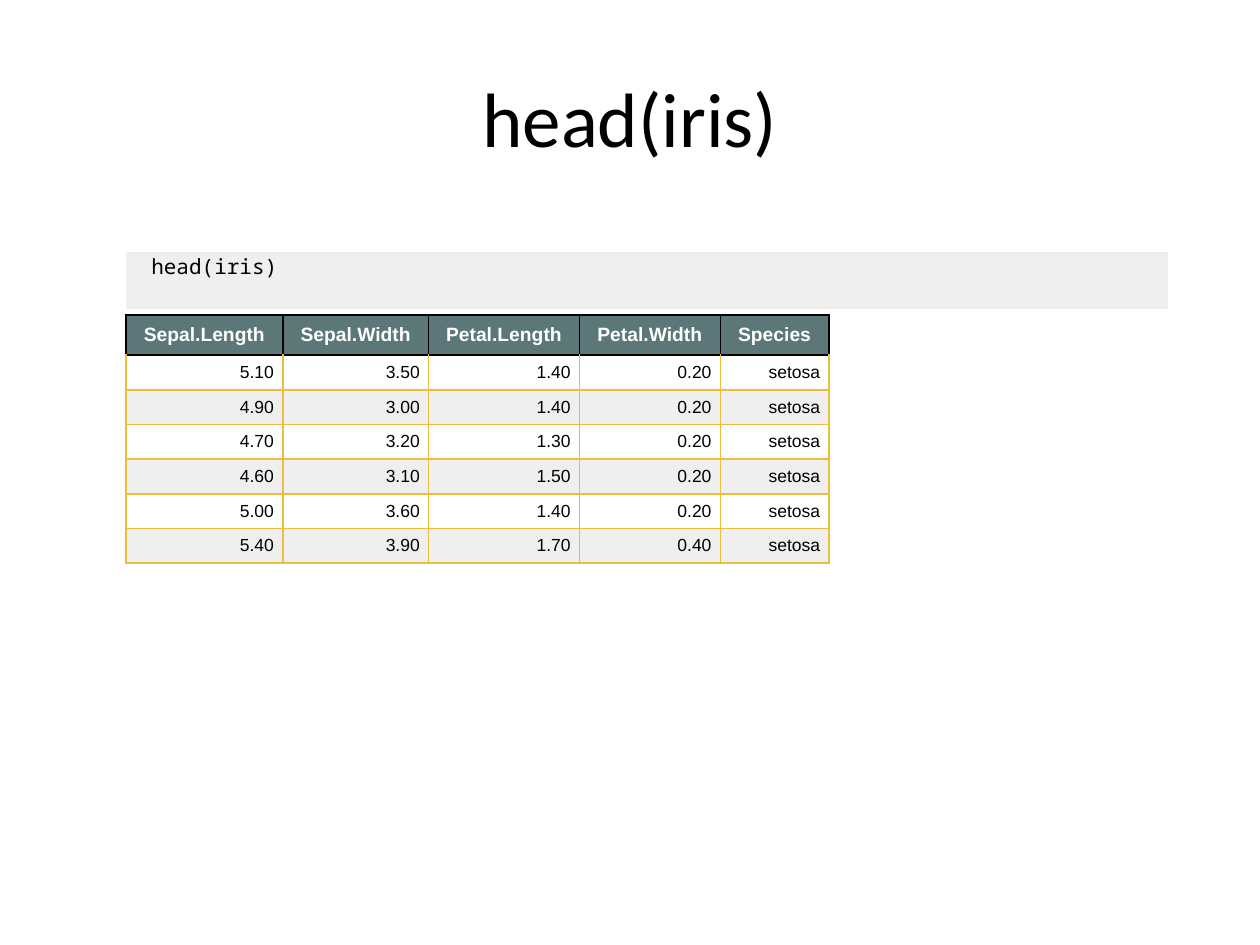
from lxml.etree import SubElement as Sub
from pptx import Presentation
from pptx.dml.color import RGBColor as Rgb
from pptx.enum.text import MSO_ANCHOR as Anchor, PP_ALIGN as Align
from pptx.oxml.ns import qn
from pptx.util import Cm, Pt

# Content
TITLE = "head(iris)"
CODE = "head(iris)"
HEADS = ["Sepal.Length", "Sepal.Width", "Petal.Length", "Petal.Width", "Species"]
ROWS = [
    ("5.10", "3.50", "1.40", "0.20", "setosa"),
    ("4.90", "3.00", "1.40", "0.20", "setosa"),
    ("4.70", "3.20", "1.30", "0.20", "setosa"),
    ("4.60", "3.10", "1.50", "0.20", "setosa"),
    ("5.00", "3.60", "1.40", "0.20", "setosa"),
    ("5.40", "3.90", "1.70", "0.40", "setosa"),
]

# Formats
HEX = {"black": "000000", "white": "FFFFFF", "grey": "EFEFEF",
       "teal": "5B7778", "gold": "EDBD3E"}
LEFT = 2.54
WIDTHS = [3.16, 2.94, 3.04, 2.84, 2.19]
HEAD_H, ROW_H = 0.81, 0.7
FONTS = {
    "title": {"name": "Calibri", "size": Pt(44)},
    "code": {"name": "Noto Sans Mono", "size": Pt(12)},
    "head": {"name": "Arial", "size": Pt(11), "bold": True},
    "body": {"name": "Arial", "size": Pt(10), "bold": False},
}
GAPS = {"space_before": Pt(2), "space_after": Pt(2)}


def put(item, vals):
    for key, val in vals.items():
        setattr(item, key, val)


def style(font, kind, color="black"):
    put(font, FONTS[kind])
    font.color.rgb = Rgb.from_string(HEX[color])


def edge(cell, sides):
    """Add cell borders; a color of None gives no line."""
    props = cell._tc.get_or_add_tcPr()
    for pos, side in enumerate("LRTB"):
        color = sides[side]
        line = props.makeelement(qn("a:ln" + side), {"w": str(Pt(1))})
        props.insert(pos, line)
        if color:
            fill = Sub(line, qn("a:solidFill"))
            Sub(fill, qn("a:srgbClr"), val=HEX[color])
        else:
            Sub(line, qn("a:noFill"))


def grid(top, cols, rows):
    frame = slide.shapes.add_table(len(rows), len(cols), Cm(LEFT), Cm(top),
                                   Cm(sum(cols)), Cm(sum(rows)))
    table = frame.table
    put(table, {"first_row": False, "horz_banding": False})
    for col, wide in zip(table.columns, cols):
        col.width = Cm(wide)
    for row, high in zip(table.rows, rows):
        row.height = Cm(high)
    return table


def fill_cell(cell, text, kind, back, sides, color="black", pad=0,
              anchor=Anchor.MIDDLE, align=Align.LEFT, gaps=None):
    cell.text = text
    put(cell, {"margin_left": Cm(pad), "margin_right": Cm(pad), "margin_top": 0,
               "margin_bottom": 0, "vertical_anchor": anchor})
    cell.fill.solid()
    cell.fill.fore_color.rgb = Rgb.from_string(HEX[back])
    edge(cell, sides)
    para = cell.text_frame.paragraphs[0]
    put(para, {"alignment": align, **(gaps or {})})
    style(para.font, kind, color)
    for run in para.runs:
        style(run.font, kind, color)


deck = Presentation()
put(deck, {"slide_width": Cm(25.4), "slide_height": Cm(19.05)})
slide = deck.slides.add_slide(deck.slide_layouts[5])

# Title
title = slide.shapes.title
put(title, {"left": Cm(1.27), "top": Cm(0.76), "width": Cm(22.86),
            "height": Cm(3.18)})
title.text_frame.text = TITLE
title.text_frame.vertical_anchor = Anchor.MIDDLE
para = title.text_frame.paragraphs[0]
para.alignment = Align.CENTER
style(para.runs[0].font, "title")

# Code strip
strip = grid(5.08, [0.51, 20.5], [1.15])
for cell, text in zip(strip.rows[0].cells, ["", CODE]):
    fill_cell(cell, text, "code", "grey", dict.fromkeys("LRTB"),
              anchor=Anchor.TOP)

# Data table
data = grid(6.35, WIDTHS, [HEAD_H] + [ROW_H] * len(ROWS))
for r, row in enumerate([HEADS] + ROWS):
    sides = dict.fromkeys("LRTB", "gold" if r else "black")
    if r == 1:
        sides["T"] = "black"
    if r:
        look = {"kind": "body", "back": "white" if r % 2 else "grey",
                "align": Align.RIGHT}
    else:
        look = {"kind": "head", "back": "teal", "color": "white",
                "align": Align.CENTER}
    for c, text in enumerate(row):
        fill_cell(data.cell(r, c), text, sides=sides, pad=0.18, gaps=GAPS, **look)

deck.save("out.pptx")
